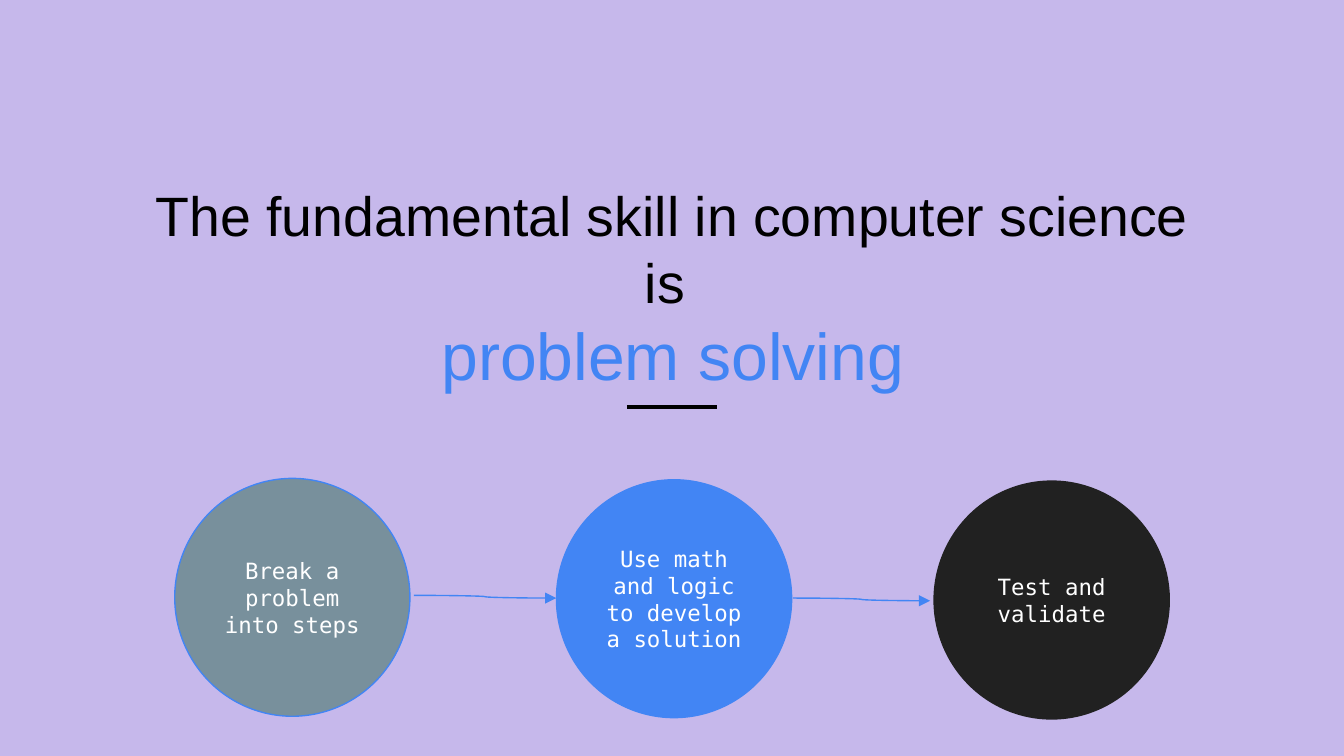
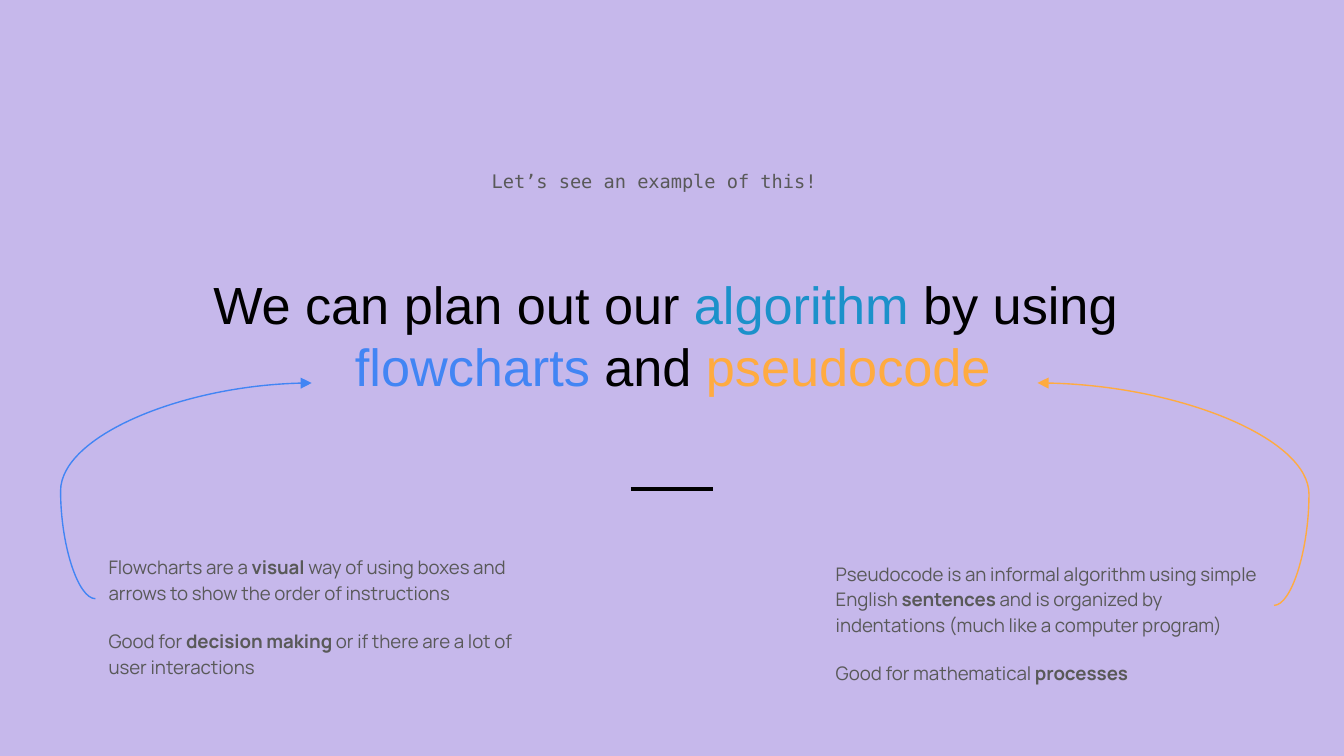
from lxml import etree
from pptx import Presentation
from pptx.dml.color import RGBColor
from pptx.enum.shapes import MSO_CONNECTOR, MSO_SHAPE
from pptx.enum.text import MSO_ANCHOR, MSO_AUTO_SIZE, PP_ALIGN
from pptx.oxml.ns import qn
from pptx.util import Inches, Pt

LINE, CURVE = MSO_CONNECTOR.STRAIGHT, MSO_CONNECTOR.CURVE
OVAL = MSO_SHAPE.OVAL
TOP, MIDDLE = MSO_ANCHOR.TOP, MSO_ANCHOR.MIDDLE
LEFT, CENTER = PP_ALIGN.LEFT, PP_ALIGN.CENTER

# Shared look
WIDE = 10
HIGH = WIDE * 9 / 16
SANS, MONO, BODY = "Arial", "DejaVu Sans Mono", "Manrope"
LILAC, BLACK, WHITE, GREY = "C6B8EB", "000000", "FFFFFF", "595959"
BLUE, TEAL, AMBER = "4285F4", "1B91CA", "FFAB40"
SLATE, COAL = "78909C", "212121"

# Slide 1: paragraphs of (text, size, colour) runs
SKILL = [
    [("The fundamental skill in computer science is ", 29.7, BLACK)],
    [("problem solving", 35.4, BLUE)],
]
# Steps: text, left, fill, outline
STEPS = [
    ("Break a problem into steps", 1.3, SLATE, BLUE),
    ("Use math and logic to develop a solution", 4.14, BLUE, BLUE),
    ("Test and validate", 6.95, COAL, COAL),
]
STEP_W, STEP_H, STEP_TOP, DROP = 1.75, 1.77, 3.56, 0.01
# Arrows between steps: start x, end x; each one falls a little
LINKS = [(3.08, 4.14), (5.9, 6.92)]
LINK_Y, FALL = 4.43, 0.02

# Slide 2
PLAN = [
    [("We can plan out our ", 28, BLACK), ("algorithm", 28, TEAL),
     (" by using ", 28, BLACK)],
    [("flowcharts ", 28, BLUE), ("and ", 28, BLACK),
     ("pseudocode", 28, AMBER)],
]
HINT = "Let’s see an example of this!"
# Notes: left, top, paragraphs whose every second run is bold
NOTES = [
    (0.71, 4.01, [
        ["Flowcharts are a ", "visual ",
         "way of using boxes and arrows to show the order of instructions"],
        ["Good for ", "decision making",
         " or if there are a lot of user interactions"],
    ]),
    (6.12, 4.06, [
        ["Pseudocode is an informal algorithm using simple English ",
         "sentences",
         " and is organized by indentations (much like a computer program)"],
        ["Good for mathematical ", "processes"],
    ]),
]
NOTE_W, NOTE_H = 3.36, 0.89
# Arrows from a note's outer side up to the title: start x, tip x, colour, bend
LOOPS = [(0.71, 2.32, BLUE, -0.161), (9.48, 7.72, AMBER, -0.148)]
TIP_Y = 2.85


def tint(code):
    return RGBColor.from_string(code)


def add_slide(deck):
    slide = deck.slides.add_slide(deck.slide_layouts[6])
    slide.background.fill.solid()
    slide.background.fill.fore_color.rgb = tint(LILAC)
    return slide


def frame(shape, anchor, side=0.1):
    text = shape.text_frame
    text.word_wrap = True
    text.vertical_anchor = anchor
    text.margin_left = text.margin_right = Inches(side)
    text.margin_top = text.margin_bottom = Inches(0.1)
    return text


def add_box(slide, x, y, w, h, anchor=TOP, side=0.1):
    box = slide.shapes.add_textbox(*map(Inches, (x, y, w, h)))
    return frame(box, anchor, side)


def add_par(text, index, align):
    par = text.add_paragraph() if index else text.paragraphs[0]
    par.alignment = align
    return par


def add_run(par, words, size, font, color, bold=False):
    run = par.add_run()
    run.text = words
    run.font.size = Pt(size)
    run.font.name = font
    run.font.bold = bold
    run.font.color.rgb = tint(color)


def add_line(slide, kind, start, end, color, width):
    ends = map(Inches, (*start, *end))
    line = slide.shapes.add_connector(kind, *ends)
    line.line.color.rgb = tint(color)
    line.line.width = Pt(width)
    etree.SubElement(line._element.spPr, qn("a:effectLst"))
    return line


def add_arrow(slide, start, end, color, bend=0.5):
    arrow = add_line(slide, CURVE, start, end, color, 0.75)
    props = arrow._element.spPr
    etree.SubElement(props.find(qn("a:ln")), qn("a:tailEnd"), type="triangle")
    guides = props.find(qn("a:prstGeom")).find(qn("a:avLst"))
    etree.SubElement(guides, qn("a:gd"), name="adj1",
                     fmla=f"val {round(bend * 100000)}")


def add_title(slide, rows, y, rule_y, rule_w):
    # Wider side margins make the long first line wrap
    text = add_box(slide, 0.85, y, 8.31, 1.34, MIDDLE, 0.15)
    for i, row in enumerate(rows):
        par = add_par(text, i, CENTER)
        for words, size, color in row:
            add_run(par, words, size, SANS, color)
    x = (WIDE - rule_w) / 2
    add_line(slide, LINE, (x, rule_y), (x + rule_w, rule_y), BLACK, 2.25)


def add_step(slide, words, x, y, fill, edge):
    disc = slide.shapes.add_shape(
        OVAL, *map(Inches, (x, y, STEP_W, STEP_H)))
    disc.shadow.inherit = False
    disc.fill.solid()
    disc.fill.fore_color.rgb = tint(fill)
    disc.line.color.rgb = tint(edge)
    disc.line.width = Pt(0.75)
    par = add_par(frame(disc, MIDDLE), 0, CENTER)
    add_run(par, words, 12, MONO, WHITE)


def add_note(slide, x, y, rows):
    text = add_box(slide, x, y, NOTE_W, NOTE_H)
    for i, row in enumerate(rows):
        par = add_par(text, i, LEFT)
        par.line_spacing = 1.15
        if i:
            par.space_before = par.space_after = Pt(12)
        for j, words in enumerate(row):
            add_run(par, words, 10, BODY, GREY, j % 2 == 1)


def skill_slide(deck):
    slide = add_slide(deck)
    add_title(slide, SKILL, 1.47, 3.03, 0.67)
    for i, (start, end) in enumerate(LINKS):
        y = LINK_Y + i * FALL
        add_arrow(slide, (start, y), (end, y + FALL), BLUE)
    for i, (words, x, fill, edge) in enumerate(STEPS):
        add_step(slide, words, x, STEP_TOP + i * DROP, fill, edge)


def plan_slide(deck):
    slide = add_slide(deck)
    add_title(slide, PLAN, 1.82, 3.64, 0.61)
    for (x, y, rows), (start, tip, color, bend) in zip(NOTES, LOOPS):
        add_note(slide, x, y, rows)
        add_arrow(slide, (start, y + NOTE_H / 2), (tip, TIP_Y), color, bend)
    # Hint above the title
    text = add_box(slide, 3.56, 1.14, 3.28, 0.37)
    text.auto_size = MSO_AUTO_SIZE.SHAPE_TO_FIT_TEXT
    par = add_par(text, 0, LEFT)
    par.line_spacing = 1.15
    par.space_after = Pt(12)
    add_run(par, HINT, 10, MONO, GREY)


def main():
    deck = Presentation()
    deck.slide_width, deck.slide_height = Inches(WIDE), Inches(HIGH)
    skill_slide(deck)
    plan_slide(deck)
    deck.save("out.pptx")


if __name__ == "__main__":
    main()
